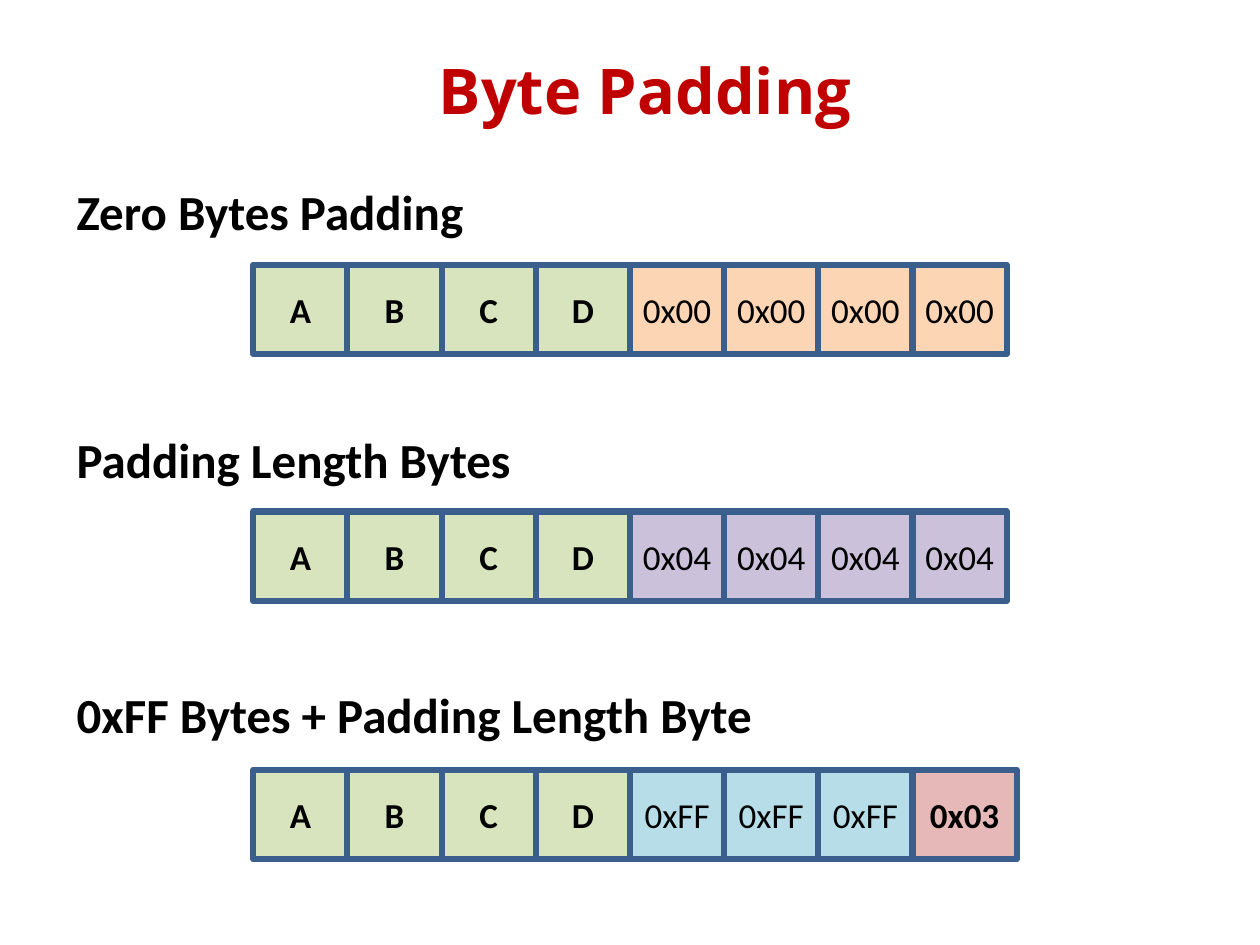
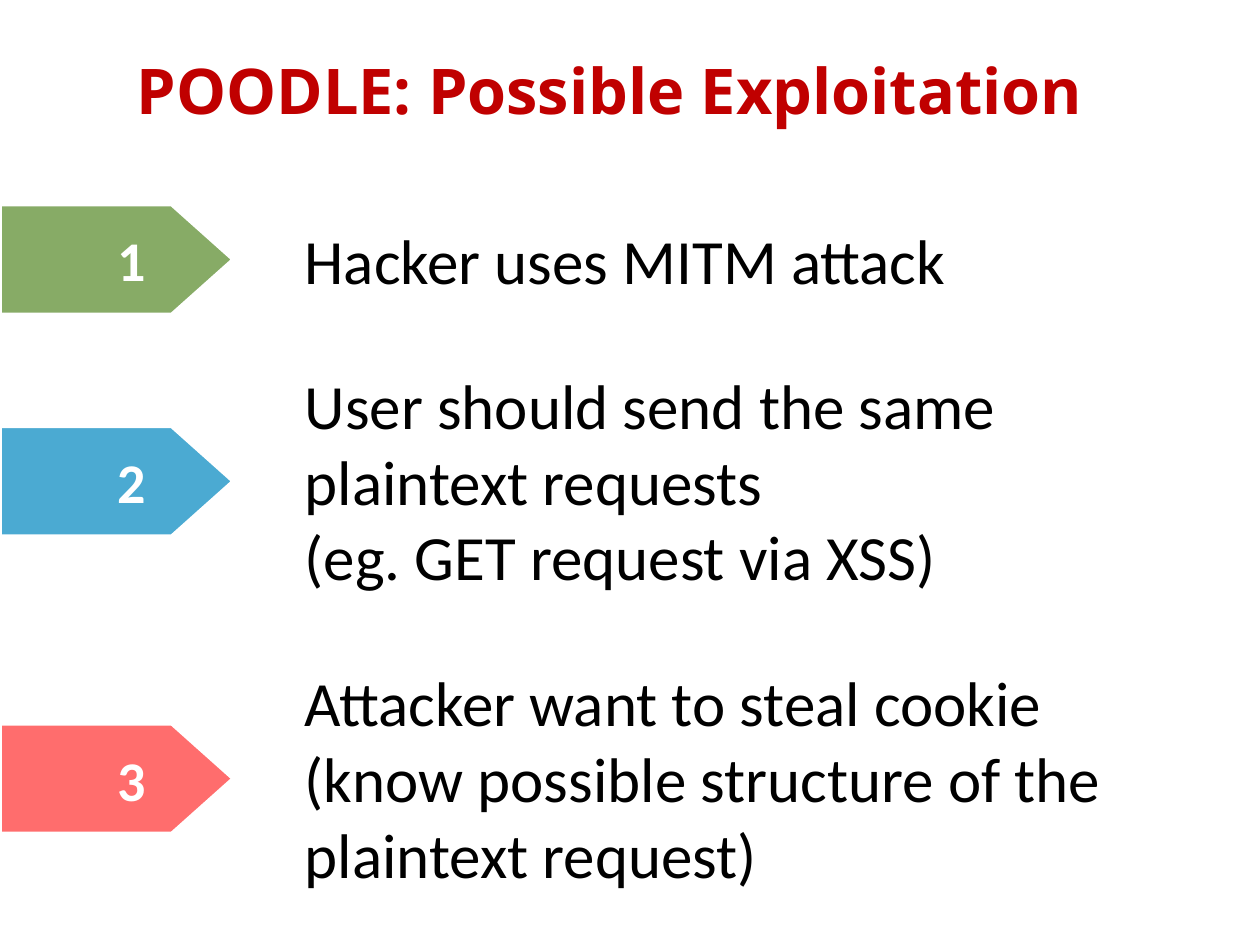
from pptx import Presentation
from pptx.dml.color import RGBColor
from pptx.enum.shapes import MSO_SHAPE
from pptx.enum.text import MSO_ANCHOR, MSO_AUTO_SIZE, PP_ALIGN
from pptx.util import Inches, Pt

RECTANGLE = MSO_SHAPE.RECTANGLE
PENTAGON = MSO_SHAPE.PENTAGON
TOP, MIDDLE = MSO_ANCHOR.TOP, MSO_ANCHOR.MIDDLE
LEFT, CENTER = PP_ALIGN.LEFT, PP_ALIGN.CENTER
NO_AUTOFIT = MSO_AUTO_SIZE.NONE

TITLE_FONT, BODY_FONT = "Open Sans", "Calibri"
RED, BLACK, WHITE = "C00000", "000000", "FFFFFF"
DATA_FILL, CELL_LINE = "D7E4BD", "3A5F8C"
TITLE_ONLY = 5

PADDING_TITLE = ("Byte Padding", 0.75, 8.74)
DATA_BYTES = [(letter, DATA_FILL, True, 0) for letter in "ABCD"]
PADDING_SCHEMES = [
    ("Zero Bytes Padding", 1.39, 2.1, [("0x00", "FCD5B5", False, 0)] * 4),
    ("Padding Length Bytes", 3.36, 4.06, [("0x04", "CCC1DA", False, 0)] * 4),
    ("0xFF Bytes + Padding Length Byte", 5.38, 6.11,
     [("0xFF", "B7DEE8", False, 0)] * 3 + [("0x03", "E6B9B8", True, 0.08)]),
]
ROW_LEFT, ROW_WIDTH, CELL_HEIGHT = 2.01, 5.98, 0.71
HEADING_LEFT, HEADING_WIDTH, HEADING_HEIGHT = 0.51, 6.06, 0.57

EXPLOIT_TITLE = ("POODLE: Possible Exploitation", 0.98, 7.72)
EXPLOIT_STEPS = [
    (2.06, 0.71, "87AB66", ["Hacker uses MITM attack"]),
    (3.82, 1.92, "4BAAD2", ["User should send the same plaintext requests",
                            "(eg. GET request via XSS)"]),
    (6.18, 1.92, "FF6D6D", ["Attacker want to steal cookie (know possible "
                            "structure of the plaintext request)"]),
]
MARKER_WIDTH, MARKER_HEIGHT, MARKER_POINT = 1.85, 0.87, 0.56
NUMBER_INDENT = 0.93
STEP_LEFT, STEP_WIDTH = 2.32, 6.77


def color(hex_value):
    return RGBColor.from_string(hex_value)


def write(shape, lines, size, hex_color=BLACK, bold=False, font=BODY_FONT,
          align=LEFT, anchor=TOP):
    frame = shape.text_frame
    frame.word_wrap = True
    frame.auto_size = NO_AUTOFIT
    frame.vertical_anchor = anchor
    for index, line in enumerate(lines):
        paragraph = frame.add_paragraph() if index else frame.paragraphs[0]
        paragraph.alignment = align
        run = paragraph.add_run()
        run.text = line
        run.font.name = font
        run.font.size = Pt(size)
        run.font.bold = bold
        run.font.color.rgb = color(hex_color)


def add_titled_slide(presentation, title, left, width):
    slide = presentation.slides.add_slide(presentation.slide_layouts[TITLE_ONLY])
    shape = slide.shapes.title
    shape.left, shape.top = Inches(left), Inches(0.36)
    shape.width, shape.height = Inches(width), Inches(0.71)
    write(shape, [title], 36, RED, True, TITLE_FONT, CENTER)
    return slide


def add_text(slide, left, top, width, height, lines, size, bold=False):
    box = slide.shapes.add_textbox(Inches(left), Inches(top), Inches(width), Inches(height))
    write(box, lines, size, bold=bold)


def add_filled(shapes, preset, left, top, width, height, fill, line, line_width):
    shape = shapes.add_shape(preset, Inches(left), Inches(top), Inches(width), Inches(height))
    shape.shadow.inherit = False
    shape.fill.solid()
    shape.fill.fore_color.rgb = color(fill)
    shape.line.color.rgb = color(line)
    shape.line.width = Pt(line_width)
    return shape


def add_byte_row(slide, top, byte_cells):
    group = slide.shapes.add_group_shape()
    cell_width = ROW_WIDTH / len(byte_cells)
    for index, (label, fill, bold, extra_width) in enumerate(byte_cells):
        cell = add_filled(group.shapes, RECTANGLE, ROW_LEFT + index * cell_width, top,
                          cell_width + extra_width, CELL_HEIGHT, fill, CELL_LINE, 3.5)
        cell.text_frame.margin_left = cell.text_frame.margin_right = 0
        write(cell, [label], 20, bold=bold, align=CENTER, anchor=MIDDLE)


def add_step_marker(slide, number, middle, fill):
    marker = add_filled(slide.shapes, PENTAGON, 0, middle - MARKER_HEIGHT / 2,
                        MARKER_WIDTH, MARKER_HEIGHT, fill, WHITE, 2)
    marker.adjustments[0] = MARKER_POINT
    marker.text_frame.margin_left = Inches(NUMBER_INDENT)
    write(marker, [str(number)], 32, WHITE, True, anchor=MIDDLE)


def build_padding_slide(presentation):
    slide = add_titled_slide(presentation, *PADDING_TITLE)
    for heading, heading_top, row_top, padding_bytes in PADDING_SCHEMES:
        add_byte_row(slide, row_top, DATA_BYTES + padding_bytes)
        add_text(slide, HEADING_LEFT, heading_top, HEADING_WIDTH, HEADING_HEIGHT,
                 [heading], 28, True)


def build_exploit_slide(presentation):
    slide = add_titled_slide(presentation, *EXPLOIT_TITLE)
    for number, (middle, height, fill, lines) in enumerate(EXPLOIT_STEPS, 1):
        add_step_marker(slide, number, middle, fill)
        add_text(slide, STEP_LEFT, middle - height / 2, STEP_WIDTH, height, lines, 36)


def main():
    presentation = Presentation()
    presentation.slide_width, presentation.slide_height = Inches(10), Inches(7.5)
    build_padding_slide(presentation)
    build_exploit_slide(presentation)
    presentation.save("out.pptx")


if __name__ == "__main__":
    main()
